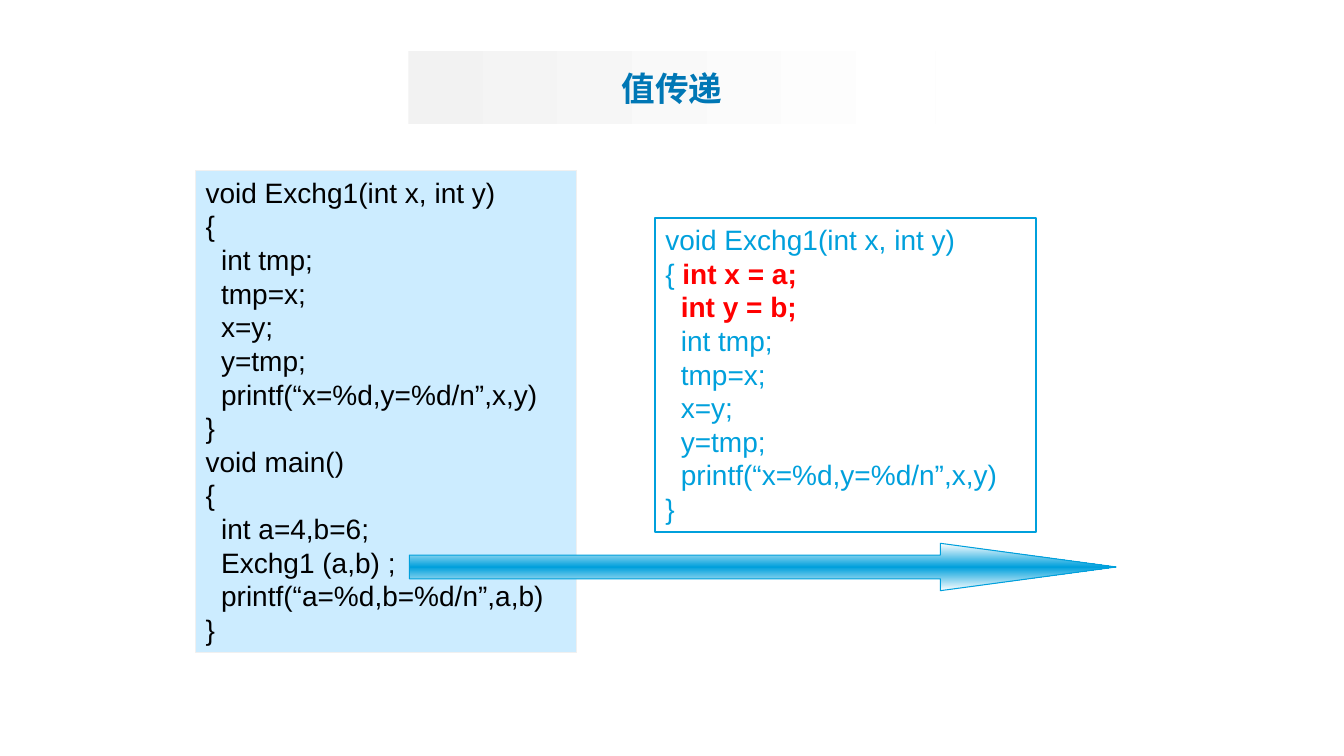
from copy import deepcopy
from dataclasses import dataclass

from lxml import etree
from pptx import Presentation
from pptx import util as u
from pptx.dml.color import RGBColor
from pptx.enum import shapes, text
from pptx.oxml.ns import qn

SLIDE_WIDTH, SLIDE_HEIGHT = 13.33, 7.5


@dataclass(frozen=True)
class Theme:
    title_font: str = "Noto Sans CJK SC"
    code_font: str = "Arial"
    title_size: int = 24
    code_size: int = 20
    title: str = "0077B5"
    accent: str = "00A0DC"
    code: str = "000000"
    highlight: str = "FF0000"
    panel: str = "CCECFF"
    panel_edge: str = "F0F0F0"
    pill: str = "F2F2F2"
    white: str = "FFFFFF"


THEME = Theme()

PROGRAM = """void Exchg1(int x, int y)
{
  int tmp;
  tmp=x;
  x=y;
  y=tmp;
  printf(“x=%d,y=%d/n”,x,y)
}
void main()
{
  int a=4,b=6;
  Exchg1 (a,b) ;
  printf(“a=%d,b=%d/n”,a,b)
}"""
CALL_HEAD = "void Exchg1(int x, int y)\n{ "
CALL_COPIES = "int x = a;\n  int y = b;"
CALL_BODY = """  int tmp;
  tmp=x;
  x=y;
  y=tmp;
  printf(“x=%d,y=%d/n”,x,y)
}"""


def rgb(color):
    return RGBColor.from_string(color)


def place(shape, box):
    for name, value in zip(("left", "top", "width", "height"), box):
        setattr(shape, name, u.Inches(value))


def format_font(font, color, **values):
    for name, value in values.items():
        setattr(font, name, value)
    font.color.rgb = rgb(color)


def paint_gradient(shape, stops):
    """Fill with (position, color) stops running along the shape's own width."""
    shape.fill.gradient()
    shape.fill.gradient_angle = 0
    first = shape.fill._fill._gradFill.gsLst[0]
    for _ in stops[2:]:
        first.addnext(deepcopy(first))
    for stop, (position, color) in zip(shape.fill.gradient_stops, stops):
        stop.position = position
        stop.color.rgb = rgb(color)


def outline(shape, color, width):
    shape.line.color.rgb = rgb(color)
    shape.line.width = u.Pt(width)


def add_title(slide, box, wording):
    title = slide.shapes.title
    place(title, box)
    geometry = etree.SubElement(title.element.spPr, qn("a:prstGeom"), prst="roundRect")
    adjustments = etree.SubElement(geometry, qn("a:avLst"))
    etree.SubElement(adjustments, qn("a:gd"), name="adj", fmla="val 42300")
    paint_gradient(title, [(0, THEME.pill), (0.99, THEME.white)])
    title.text_frame.vertical_anchor = text.MSO_ANCHOR.MIDDLE
    paragraph = title.text_frame.paragraphs[0]
    paragraph.alignment = text.PP_ALIGN.CENTER
    run = paragraph.add_run()
    run.text = wording
    format_font(run.font, THEME.title, name=THEME.title_font,
                size=u.Pt(THEME.title_size), bold=True)
    latin = run.font._element.find(qn("a:latin"))
    latin.addnext(latin.makeelement(qn("a:ea"), {"typeface": THEME.title_font}))


def add_code(paragraph, code, color, bold):
    for number, line in enumerate(code.split("\n")):
        if number:
            paragraph.add_line_break()
        run = paragraph.add_run()
        run.text = line
        format_font(run.font, color, name=THEME.code_font,
                    size=u.Pt(THEME.code_size), bold=bold)


def add_code_panel(slide, box, fill, edge, edge_width, paragraphs):
    """Each paragraph is a list of (code, color, bold) pieces."""
    panel = slide.shapes.add_shape(shapes.MSO_SHAPE.RECTANGLE, 0, 0, 0, 0)
    place(panel, box)
    panel.shadow.inherit = False
    panel.fill.solid()
    panel.fill.fore_color.rgb = rgb(fill)
    outline(panel, edge, edge_width)
    frame = panel.text_frame
    frame.word_wrap = True
    frame.auto_size = text.MSO_AUTO_SIZE.SHAPE_TO_FIT_TEXT
    frame.vertical_anchor = text.MSO_ANCHOR.TOP
    for number, pieces in enumerate(paragraphs):
        paragraph = frame.add_paragraph() if number else frame.paragraphs[0]
        paragraph.alignment = text.PP_ALIGN.LEFT
        for piece in pieces:
            add_code(paragraph, *piece)


def add_call_arrow(slide, box):
    """An up arrow turned a quarter to the right, so that it covers the box."""
    left, top, length, thickness = box
    shift = (length - thickness) / 2
    arrow = slide.shapes.add_shape(shapes.MSO_SHAPE.UP_ARROW, 0, 0, 0, 0)
    place(arrow, (left + shift, top - shift, thickness, length))
    arrow.rotation = 90
    arrow.adjustments[0] = 0.5
    arrow.adjustments[1] = 3.71
    arrow.shadow.inherit = False
    paint_gradient(arrow, [(0, THEME.white), (0.5, THEME.accent), (1, THEME.white)])
    outline(arrow, THEME.accent, 0.75)


def build_value_passing_slide(presentation):
    slide = presentation.slides.add_slide(presentation.slide_layouts.get_by_name("Title Only"))
    panel_width, pill_width = 3.78, 5.23
    add_title(slide, ((SLIDE_WIDTH - pill_width) / 2, 0.51, pill_width, 0.72), "值传递")
    add_code_panel(slide, (1.94, 1.69, panel_width, 4.78), THEME.panel, THEME.panel_edge, 0.75,
                   [[(PROGRAM, THEME.code, False)]])
    add_code_panel(slide, (6.5, 2.16, panel_width, 3.12), THEME.white, THEME.accent, 1.5,
                   [[(CALL_HEAD, THEME.accent, False), (CALL_COPIES, THEME.highlight, True)],
                    [(CALL_BODY, THEME.accent, False)]])
    add_call_arrow(slide, (4.06, 5.39, 7.01, 0.47))


def main():
    presentation = Presentation()
    presentation.slide_width = u.Inches(SLIDE_WIDTH)
    presentation.slide_height = u.Inches(SLIDE_HEIGHT)
    build_value_passing_slide(presentation)
    presentation.save("out.pptx")


if __name__ == "__main__":
    main()
